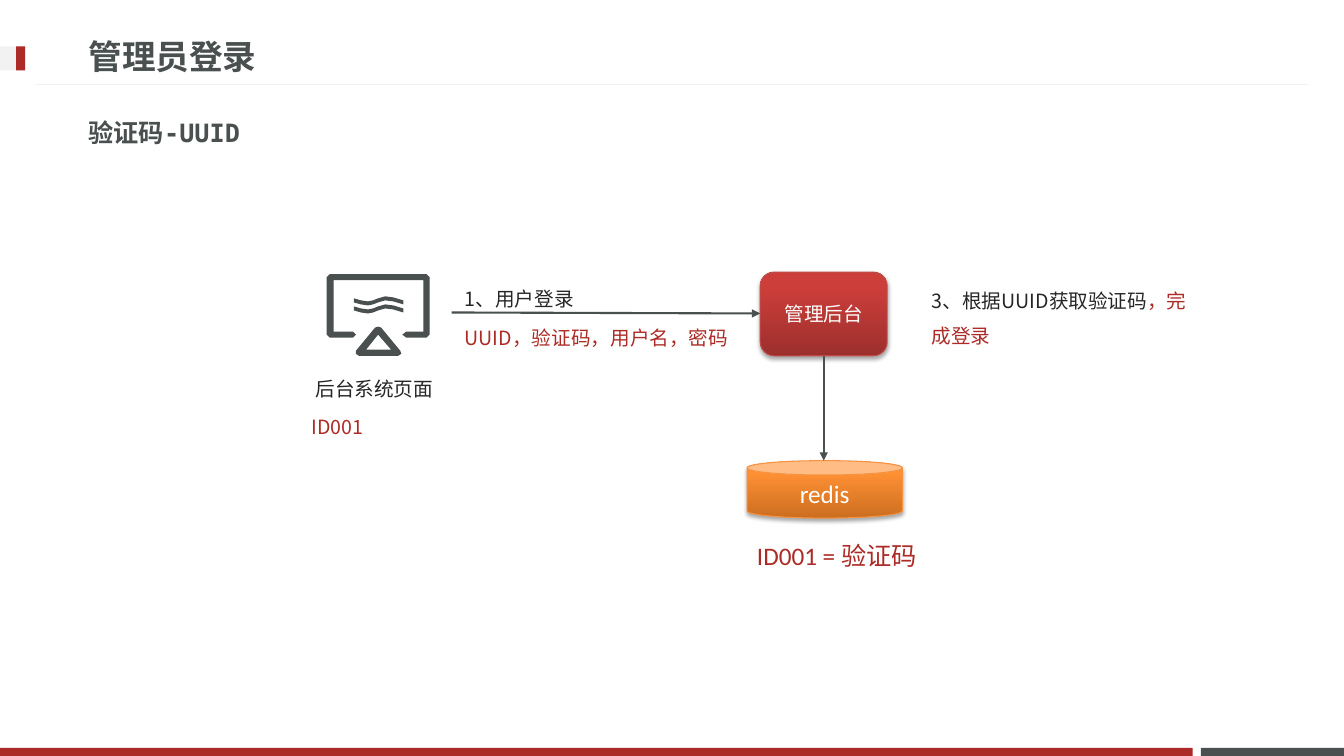
from lxml import etree
from pptx import Presentation
from pptx.dml.color import RGBColor
from pptx.enum import shapes, text
from pptx.oxml.ns import qn
from pptx.util import Inches, Pt

RED = RGBColor(0xAD, 0x2B, 0x26)
GREY = RGBColor(0x49, 0x50, 0x4F)
PALE = RGBColor(0xF2, 0xF2, 0xF2)
INK = RGBColor(0x26, 0x26, 0x26)
WHITE = RGBColor(0xFF, 0xFF, 0xFF)
BOX_DARK = RGBColor(0x9C, 0x2F, 0x2D)
BOX_LIGHT = RGBColor(0xCB, 0x3E, 0x3A)
BOX_EDGE = RGBColor(0xBF, 0x4C, 0x48)
CAN_DARK = RGBColor(0xCC, 0x6E, 0x20)
CAN_LIGHT = RGBColor(0xFF, 0x90, 0x34)
CAN_EDGE = RGBColor(0xF6, 0x92, 0x40)

MONO, SANS, CJK = "DejaVu Sans Mono", "Calibri", "Noto Sans CJK JP"


def inches(*values):
    return [Inches(v) for v in values]


def add_bar(s, box, color):
    sp = s.shapes.add_shape(shapes.MSO_SHAPE.RECTANGLE, *inches(*box))
    sp.shadow.inherit = False
    sp.fill.solid()
    sp.fill.fore_color.rgb = color
    sp.line.fill.background()


def add_line(s, ends, color, width, arrow=False):
    line = s.shapes.add_connector(shapes.MSO_CONNECTOR.STRAIGHT, *inches(*ends))
    line.line.color.rgb = color
    line.line.width = Pt(width)
    if arrow:
        etree.SubElement(line.line._get_or_add_ln(), qn("a:tailEnd"), type="triangle")
    etree.SubElement(line._element.spPr, qn("a:effectLst"))


def add_text(s, box, paragraphs, size, font=CJK, bold=False, spacing=None,
             anchor=text.MSO_ANCHOR.TOP):
    """Each paragraph is a list of (wording, colour) runs."""
    tf = s.shapes.add_textbox(*inches(*box)).text_frame
    tf.word_wrap = True
    tf.vertical_anchor = anchor
    for i, runs in enumerate(paragraphs):
        p = tf.add_paragraph() if i else tf.paragraphs[0]
        if i:
            p.space_before = Pt(size * 0.2)
        if spacing:
            p.line_spacing = spacing
        p.font.name, p.font.size, p.font.bold = font, Pt(size), bold
        for wording, color in runs:
            r = p.add_run()
            r.text = wording
            r.font.color.rgb = color


def add_node(s, kind, box, label, size, dark, light, edge):
    """Shape with a gradient, a soft drop shadow and a centred white label."""
    sp = s.shapes.add_shape(kind, *inches(*box))
    sp.fill.gradient()
    sp.fill.gradient_angle = 90
    for stop, color, position in zip(sp.fill.gradient_stops, (dark, light), (0, 0.8)):
        stop.color.rgb = color
        stop.position = position
    sp.line.color.rgb = edge
    sp.line.width = Pt(0.75)

    sp.shadow.inherit = False
    effects = sp._element.spPr.find(qn("a:effectLst"))
    shadow = etree.SubElement(effects, qn("a:outerShdw"), blurRad=str(Pt(3.1)),
                              dist=str(Pt(1.8)), dir="5400000", rotWithShape="0")
    black = etree.SubElement(shadow, qn("a:srgbClr"), val="000000")
    etree.SubElement(black, qn("a:alpha"), val="35000")

    tf = sp.text_frame
    tf.vertical_anchor = text.MSO_ANCHOR.MIDDLE
    p = tf.paragraphs[0]
    p.text = label
    p.alignment = text.PP_ALIGN.CENTER
    p.font.name, p.font.size = SANS, Pt(size)
    p.font.color.rgb = WHITE


def wave_outline(drop):
    """Closed band around a wavy centre line, moved down by drop."""
    centre = [(3.51, 2.98), (3.58, 3.0), (3.65, 3.01), (3.7, 3.0), (3.75, 2.98),
              (3.82, 2.96), (3.9, 2.97), (4.0, 3.0)]
    upper = [(x, y + drop - 0.02) for x, y in centre]
    lower = [(x, y + drop + 0.02) for x, y in centre]
    return upper + lower[::-1]


def add_screen_icon(s):
    screen = [(3.27, 2.72), (4.23, 2.72), (4.26, 2.75), (4.26, 3.32), (4.23, 3.35),
              (4.03, 3.35), (3.99, 3.32), (4.03, 3.29), (4.2, 3.29), (4.2, 2.78),
              (3.31, 2.78), (3.31, 3.29), (3.5, 3.29), (3.53, 3.32), (3.5, 3.35),
              (3.27, 3.35), (3.24, 3.32), (3.24, 2.75)]
    stand = [(3.72, 3.25), (3.75, 3.24), (3.78, 3.25), (3.97, 3.48), (3.98, 3.51),
             (3.95, 3.53), (3.56, 3.53), (3.53, 3.51), (3.53, 3.48)]
    stand_hole = [(3.75, 3.32), (3.63, 3.47), (3.88, 3.47)]
    builder = s.shapes.build_freeform(*inches(*screen[0]))
    for outline in (screen, stand, stand_hole, wave_outline(0), wave_outline(0.08)):
        points = [inches(*point) for point in outline]
        builder.move_to(*points[0])
        builder.add_line_segments(points[1:], close=True)
    sp = builder.convert_to_shape()
    sp.shadow.inherit = False
    sp.fill.solid()
    sp.fill.fore_color.rgb = GREY
    sp.line.fill.background()


def main():
    prs = Presentation()
    prs.slide_width, prs.slide_height = inches(13.33, 7.5)
    s = prs.slides.add_slide(prs.slide_layouts[6])

    add_bar(s, (11.91, 7.42, 1.42, 0.08), GREY)
    add_bar(s, (0, 7.42, 11.83, 0.08), RED)
    add_line(s, (12.98, 0.84, 0.35, 0.84), PALE, 0.75)
    add_bar(s, (0, 0.46, 0.25, 0.24), PALE)
    add_bar(s, (0.16, 0.46, 0.09, 0.24), RED)
    middle = text.MSO_ANCHOR.MIDDLE
    add_text(s, (0.78, 0.27, 9.59, 0.57), [[("管理员登录", GREY)]], 24, MONO, True, anchor=middle)
    add_text(s, (0.78, 1.03, 11.76, 0.57), [[("验证码-UUID", GREY)]], 18, MONO, True, anchor=middle)

    add_line(s, (3.98 + 0.5, 3.1, 7.54, 3.11), GREY, 1.5, arrow=True)
    add_node(s, shapes.MSO_SHAPE.ROUNDED_RECTANGLE, (7.54, 2.7, 1.26, 0.83), "管理后台", 14,
             BOX_DARK, BOX_LIGHT, BOX_EDGE)
    add_screen_icon(s)
    add_node(s, shapes.MSO_SHAPE.CAN, (7.41, 4.57, 1.54, 0.57), "redis", 18,
             CAN_DARK, CAN_LIGHT, CAN_EDGE)
    add_line(s, (8.17, 3.53, 8.17, 4.57), GREY, 1.5, arrow=True)

    add_text(s, (3.03, 3.57, 1.44, 0.47), [[("后台系统页面", INK)]], 14, spacing=1.5)
    add_text(s, (2.99, 3.95, 1.98, 0.81), [[("ID001", RED)]], 14, spacing=1.5)
    add_text(s, (4.51, 2.68, 3.03, 1.25),
             [[("1、用户登录", INK)], [("UUID，验证码，用户名，密码", RED)]], 14, spacing=1.5)
    add_text(s, (9.14, 2.7, 2.82, 0.88),
             [[("3、根据UUID获取验证码", INK), ("，完成登录", RED)]], 14, spacing=1.5)
    add_text(s, (7.41, 5.31, 3.33, 0.4), [[("ID001 = 验证码", RED)]], 18, SANS)

    prs.save("out.pptx")


if __name__ == "__main__":
    main()
